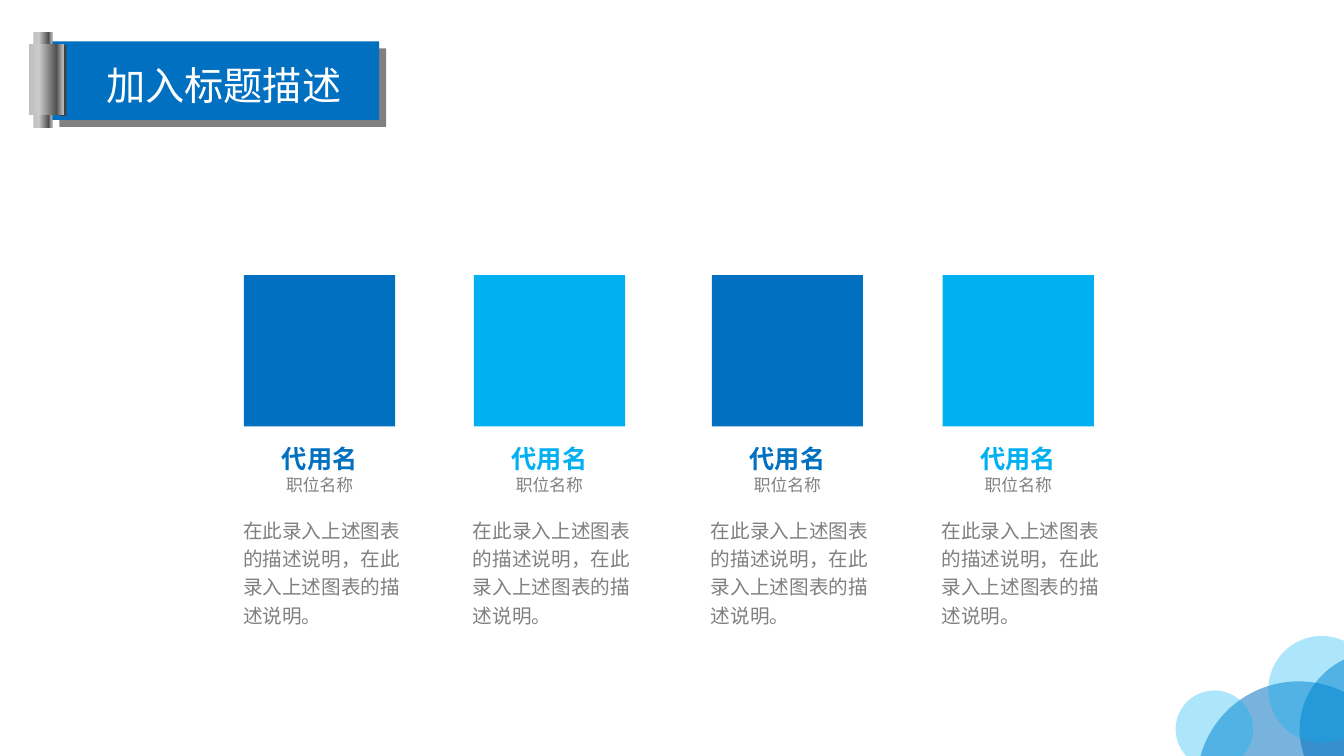
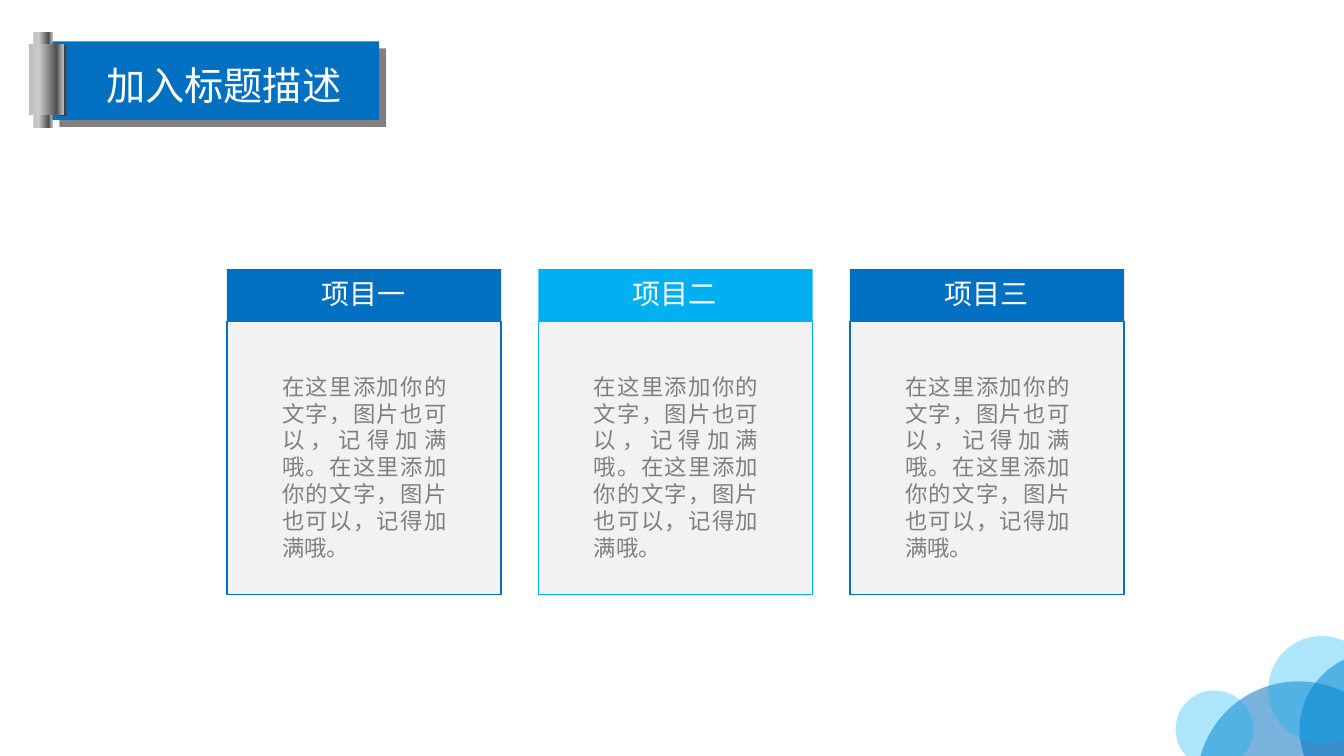
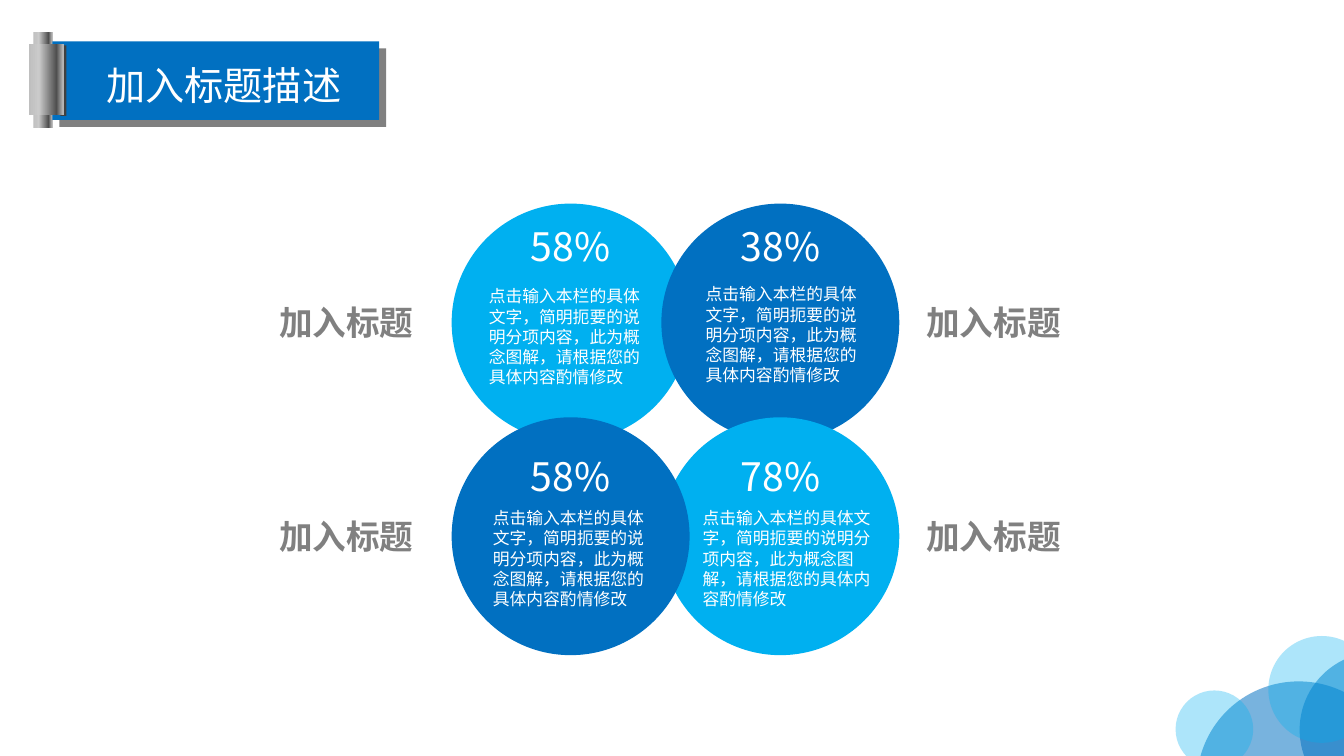
"""Build three slides that share a scroll title banner and corner bubbles."""
from lxml.etree import SubElement
from pptx import Presentation
from pptx.dml.color import RGBColor
from pptx.enum.shapes import MSO_SHAPE as Shape
from pptx.enum.text import MSO_ANCHOR as Anchor, MSO_AUTO_SIZE as AutoSize, PP_ALIGN as Align
from pptx.oxml.ns import qn
from pptx.util import Inches, Pt

BLUE = RGBColor(0x01, 0x70, 0xC1)
SKY = RGBColor(0x00, 0xB0, 0xF0)
GRAY = RGBColor(0x80, 0x80, 0x80)
DARK = RGBColor(0x40, 0x40, 0x40)
PALE = RGBColor(0xF2, 0xF2, 0xF2)
WHITE = RGBColor(0xFF, 0xFF, 0xFF)
SILVER = RGBColor(0xBF, 0xBF, 0xBF)
LIGHT_STEEL = RGBColor(0xCA, 0xCA, 0xCA)
DARK_STEEL = RGBColor(0x4F, 0x4F, 0x4F)

FONT = "Noto Sans CJK SC"
LABEL_FONT = "Arial Narrow"
TIGHT = (0.07, 0.04)
ROOMY = (0.1, 0.05)

TITLE = "加入标题描述"
METAL = [(0, SILVER), (29, LIGHT_STEEL), (80, DARK_STEEL), (100, SILVER)]
BUBBLES = [
    (11.87, 6.76, 2.02, BLUE, 53),
    (12.89, 6.47, 1.54, BLUE, 53),
    (12.58, 6.31, 1.06, SKY, 32),
    (11.66, 6.85, 0.77, SKY, 32),
]

MEMBER_NAME = "代用名"
MEMBER_JOB = "职位名称"
MEMBER_TEXT = "在此录入上述图表的描述说明，在此录入上述图表的描述说明。"
MEMBERS = [(2.42, BLUE), (4.7, SKY), (7.06, BLUE), (9.35, SKY)]

PROJECTS = [("项目一", BLUE), ("项目二", SKY), ("项目三", BLUE)]
PROJECT_TEXT = "在这里添加你的文字，图片也可以，记得加满哦。" * 2
PROJECT_LEFT, PROJECT_PITCH, PROJECT_WIDTH = 2.25, 3.09, 2.72

CIRCLE_LABEL = "加入标题"
CIRCLE_TEXT = "点击输入本栏的具体文字，简明扼要的说明分项内容，此为概念图解，请根据您的具体内容酌情修改"
CIRCLE_SIZE = 2.36
CIRCLE_LEFTS, CIRCLE_TOPS = (4.48, 6.56), (2.02, 4.14)
LABEL_LEFTS, PERCENT_TOPS = (2.61, 9.03), (2.16, 4.44)
CIRCLES = [
    (0, 0, "58%", SKY, (4.75, 2.79, 1.84)),
    (1, 0, "38%", BLUE, (6.9, 2.77, 1.81)),
    (1, 1, "78%", SKY, (6.87, 4.99, 1.89)),
    (0, 1, "58%", BLUE, (4.79, 4.99, 1.74)),
]


def add_block(shapes, kind, box, color, line=None, opacity=None):
    """Add a flat preset shape, optionally outlined or translucent."""
    block = shapes.add_shape(kind, *map(Inches, box))
    block.shadow.inherit = False
    block.fill.solid()
    block.fill.fore_color.rgb = color
    if line is None:
        block.line.fill.background()
    else:
        block.line.color.rgb = line
        block.line.width = Pt(1)
    if opacity is not None:
        tint = block._element.spPr.find(qn("a:solidFill")).find(qn("a:srgbClr"))
        SubElement(tint, qn("a:alpha"), val=str(opacity * 1000))
    return block


def add_roller(shapes, box):
    """Add a metallic roller standing upright."""
    roller = add_block(shapes, Shape.RECTANGLE, box, SILVER)
    roller.rotation = 270
    roller.fill.gradient()
    roller.fill.gradient_angle = 270
    stops = roller._element.spPr.find(qn("a:gradFill")).find(qn("a:gsLst"))
    for stop in list(stops):
        stops.remove(stop)
    for percent, color in METAL:
        stop = SubElement(stops, qn("a:gs"), pos=str(percent * 1000))
        SubElement(stop, qn("a:srgbClr"), val=str(color))


def add_text(shapes, text, box, size, color=GRAY, bold=False, font=FONT, align=Align.CENTER,
             inset=ROOMY, spacing=None, anchor=Anchor.TOP, grow=True):
    """Add a wrapped text box holding one paragraph without hanging punctuation."""
    frame = shapes.add_textbox(*map(Inches, box)).text_frame
    frame.word_wrap = True
    frame.auto_size = AutoSize.SHAPE_TO_FIT_TEXT if grow else AutoSize.NONE
    frame.vertical_anchor = anchor
    frame.margin_left = frame.margin_right = Inches(inset[0])
    frame.margin_top = frame.margin_bottom = Inches(inset[1])
    paragraph = frame.paragraphs[0]
    paragraph.alignment = align
    paragraph.line_spacing = spacing
    paragraph._p.get_or_add_pPr().set("hangingPunct", "0")
    run = paragraph.add_run()
    run.text = text
    run.font.size = Pt(size)
    run.font.bold = bold
    run.font.color.rgb = color
    run.font.name = font
    SubElement(run._r.get_or_add_rPr(), qn("a:ea"), typeface=font)


def add_base(deck):
    """Add a blank slide with the shared bubbles and title banner."""
    shapes = deck.slides.add_slide(deck.slide_layouts[6]).shapes
    for left, top, size, color, opacity in BUBBLES:
        add_block(shapes, Shape.OVAL, (left, top, size, size), color, opacity=opacity)
    banner = shapes.add_group_shape().shapes
    add_roller(banner, (-0.05, 0.7, 0.95, 0.19))
    add_block(banner, Shape.RECTANGLE, (0.59, 0.48, 3.24, 0.78), GRAY)
    add_block(banner, Shape.RECTANGLE, (0.52, 0.41, 3.24, 0.78), BLUE)
    add_block(banner, Shape.RECTANGLE, (0.6, 0.45, 0.06, 0.7), DARK)
    add_roller(banner, (0.11, 0.62, 0.7, 0.34))
    add_text(shapes, TITLE, (0.57, 0.57, 3.3, 0.55), 28, WHITE, inset=TIGHT)
    return shapes


def add_members(shapes):
    """Draw the row of team members."""
    for left, color in MEMBERS:
        add_block(shapes, Shape.RECTANGLE, (left, 2.73, 1.5, 1.5), color)
        add_text(shapes, MEMBER_NAME, (left, 4.36, 1.5, 0.38), 18, color, bold=True, inset=TIGHT)
        add_text(shapes, MEMBER_JOB, (left, 4.67, 1.5, 0.28), 12, inset=TIGHT)
        add_text(shapes, MEMBER_TEXT, (left - 0.08, 5.06, 1.81, 1.21), 14,
                 align=Align.LEFT, inset=TIGHT, spacing=1.2)


def add_projects(shapes):
    """Draw the project cards."""
    for index, (name, color) in enumerate(PROJECTS):
        left = PROJECT_LEFT + index * PROJECT_PITCH
        card = shapes.add_group_shape().shapes
        add_block(card, Shape.RECTANGLE, (left, 2.67, PROJECT_WIDTH, 0.53), color)
        add_block(card, Shape.RECTANGLE, (left, 3.19, PROJECT_WIDTH, 2.71), PALE, line=color)
        add_text(shapes, name, (left + 0.44, 2.69, 1.83, 0.44), 20, WHITE)
        add_text(shapes, PROJECT_TEXT, (left + 0.45, 3.65, 1.83, 1.99), 16, align=Align.JUSTIFY)


def add_circles(shapes):
    """Draw the overlapping circles, then their texts and side labels."""
    for column, row, _, color, _ in CIRCLES:
        add_block(shapes, Shape.OVAL,
                  (CIRCLE_LEFTS[column], CIRCLE_TOPS[row], CIRCLE_SIZE, CIRCLE_SIZE), color)
    for column, row, percent, _, text_box in CIRCLES:
        add_text(shapes, percent, (CIRCLE_LEFTS[column] + 0.63, PERCENT_TOPS[row], 1.1, 0.57),
                 28, WHITE)
        add_text(shapes, CIRCLE_TEXT, (*text_box, 1.11), 12, WHITE, align=Align.LEFT)
        add_text(shapes, CIRCLE_LABEL, (LABEL_LEFTS[column], CIRCLE_TOPS[row] + 0.94, 1.65, 0.47),
                 24, bold=True, font=LABEL_FONT, anchor=Anchor.MIDDLE, grow=False)


def main():
    """Build and save the deck."""
    deck = Presentation()
    deck.slide_width, deck.slide_height = Inches(13.33), Inches(7.5)
    for add_content in (add_members, add_projects, add_circles):
        add_content(add_base(deck))
    deck.save("out.pptx")


if __name__ == "__main__":
    main()
